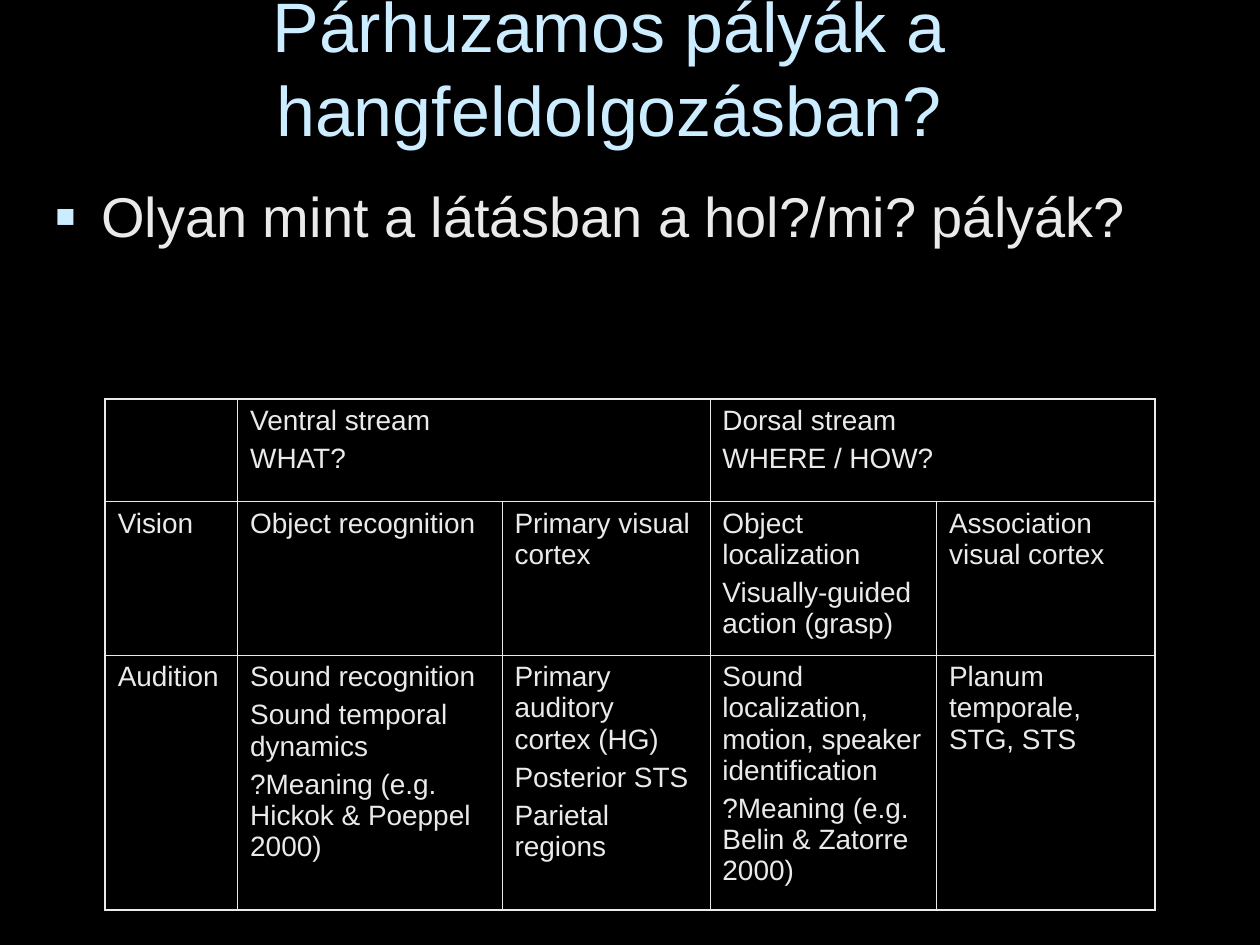
"""Builds a slide comparing the ventral and dorsal streams in vision and audition."""
from dataclasses import dataclass

import pptx
import pptx.dml.color
import pptx.enum.text
import pptx.oxml
import pptx.oxml.ns
import pptx.util

Cm = pptx.util.Cm
Pt = pptx.util.Pt
Align = pptx.enum.text.PP_ALIGN
Anchor = pptx.enum.text.MSO_ANCHOR

COLORS = {"background": "000000", "accent": "CCECFF", "body": "EAEAEA"}
FONT = "Arial"
OUTER_LINE, INNER_LINE = 1.08, 0.45
COLUMN_WIDTHS = [2.67, 5.33, 4.19, 4.57, 4.4]
ROW_HEIGHTS = [2.06, 3.1, 5.13]


@dataclass(frozen=True)
class Entry:
    row: int
    column: int
    lines: tuple[str, ...] = ()
    span: int = 1


ENTRIES = [
    Entry(0, 0),
    Entry(0, 1, ("Ventral stream", "WHAT?"), span=2),
    Entry(0, 3, ("Dorsal stream", "WHERE / HOW?"), span=2),
    Entry(1, 0, ("Vision",)),
    Entry(1, 1, ("Object recognition",)),
    Entry(1, 2, ("Primary visual cortex",)),
    Entry(1, 3, ("Object localization", "Visually-guided action (grasp)")),
    Entry(1, 4, ("Association visual cortex",)),
    Entry(2, 0, ("Audition",)),
    Entry(2, 1, ("Sound recognition", "Sound temporal dynamics",
                 "?Meaning (e.g. Hickok & Poeppel 2000)")),
    Entry(2, 2, ("Primary auditory cortex (HG)", "Posterior STS", "Parietal regions")),
    Entry(2, 3, ("Sound localization, motion, speaker identification",
                 "?Meaning (e.g. Belin & Zatorre 2000)")),
    Entry(2, 4, ("Planum temporale, STG, STS",)),
]


def parse_element(tag: str, attributes: str, content: str = ""):
    """Return a drawing element with the given attributes and content."""
    namespace = pptx.oxml.ns.nsdecls("a")
    return pptx.oxml.parse_xml(f"<a:{tag} {namespace} {attributes}>{content}</a:{tag}>")


def solid_fill(color: str) -> str:
    """Return the markup of a solid fill."""
    return f'<a:solidFill><a:srgbClr val="{COLORS[color]}"/></a:solidFill>'


def write_text(frame, lines: tuple[str, ...], *, size: float, color: str = "body",
               align=Align.LEFT, before: float = 0) -> None:
    """Write one paragraph per line in a single format."""
    frame.word_wrap = True
    for index, line in enumerate(lines):
        para = frame.add_paragraph() if index else frame.paragraphs[0]
        para.alignment = align
        para.space_before = Pt(before)
        span = para.add_run()
        span.text = line
        span.font.name = FONT
        span.font.size = Pt(size)
        span.font.color.rgb = pptx.dml.color.RGBColor.from_string(COLORS[color])


def add_bullet(para, indent: float) -> None:
    """Give the paragraph a hanging square bullet."""
    properties = para._p.get_or_add_pPr()
    properties.set("marL", str(Cm(indent)))
    properties.set("indent", str(-Cm(indent)))
    color = f'<a:srgbClr val="{COLORS["accent"]}"/>'
    properties.append(parse_element("buClr", "", color))
    properties.append(parse_element("buSzPct", 'val="115000"'))
    properties.append(parse_element("buFont", f'typeface="{FONT}"'))
    properties.append(parse_element("buChar", 'char="▪"'))


def draw_borders(cell, entry: Entry) -> None:
    """Draw thick lines on the table's edge and thin lines inside."""
    outer_sides = {
        "lnL": entry.column == 0,
        "lnR": entry.column + entry.span == len(COLUMN_WIDTHS),
        "lnT": entry.row == 0,
        "lnB": entry.row == len(ROW_HEIGHTS) - 1,
    }
    properties = cell._tc.get_or_add_tcPr()
    for position, (side, outer) in enumerate(outer_sides.items()):
        width = Pt(OUTER_LINE if outer else INNER_LINE)
        line = parse_element(side, f'w="{width}"', solid_fill("body"))
        properties.insert(position, line)


def add_box(page, left: float, top: float, width: float, height: float):
    """Add a text box and return its text frame."""
    box = page.shapes.add_textbox(Cm(left), Cm(top), Cm(width), Cm(height))
    box.text_frame.auto_size = pptx.enum.text.MSO_AUTO_SIZE.NONE
    return box.text_frame


def add_streams_table(page) -> None:
    """Add the table of streams."""
    table = page.shapes.add_table(
        len(ROW_HEIGHTS), len(COLUMN_WIDTHS), Cm(2.12), Cm(8.05),
        Cm(sum(COLUMN_WIDTHS)), Cm(sum(ROW_HEIGHTS))).table
    table.first_row = table.horz_banding = False
    for column, width in zip(table.columns, COLUMN_WIDTHS):
        column.width = Cm(width)
    for row, height in zip(table.rows, ROW_HEIGHTS):
        row.height = Cm(height)
    for cell in table.iter_cells():
        cell.fill.background()
    for entry in ENTRIES:
        cell = table.cell(entry.row, entry.column)
        if entry.span > 1:
            cell.merge(table.cell(entry.row, entry.column + entry.span - 1))
        write_text(cell.text_frame, entry.lines, size=16, before=4)
        draw_borders(cell, entry)


def main() -> None:
    """Build and save the deck."""
    deck = pptx.Presentation()
    deck.slide_width, deck.slide_height = Cm(25.4), Cm(19.05)
    page = deck.slides.add_slide(deck.slide_layouts[6])
    page.background.fill.solid()
    page.background.fill.fore_color.rgb = pptx.dml.color.RGBColor.from_string(
        COLORS["background"])

    title = add_box(page, 0.84, 0.13, 22.86, 2.41)
    title.vertical_anchor = Anchor.MIDDLE
    write_text(title, ("Párhuzamos pályák a hangfeldolgozásban?",),
               size=40, color="accent", align=Align.CENTER)

    question = add_box(page, 0.84, 3.53, 23.93, 4.52)
    write_text(question, ("Olyan mint a látásban a hol?/mi? pályák?",),
               size=32, before=8)
    add_bullet(question.paragraphs[0], 0.95)

    add_streams_table(page)
    deck.save("out.pptx")


main()
